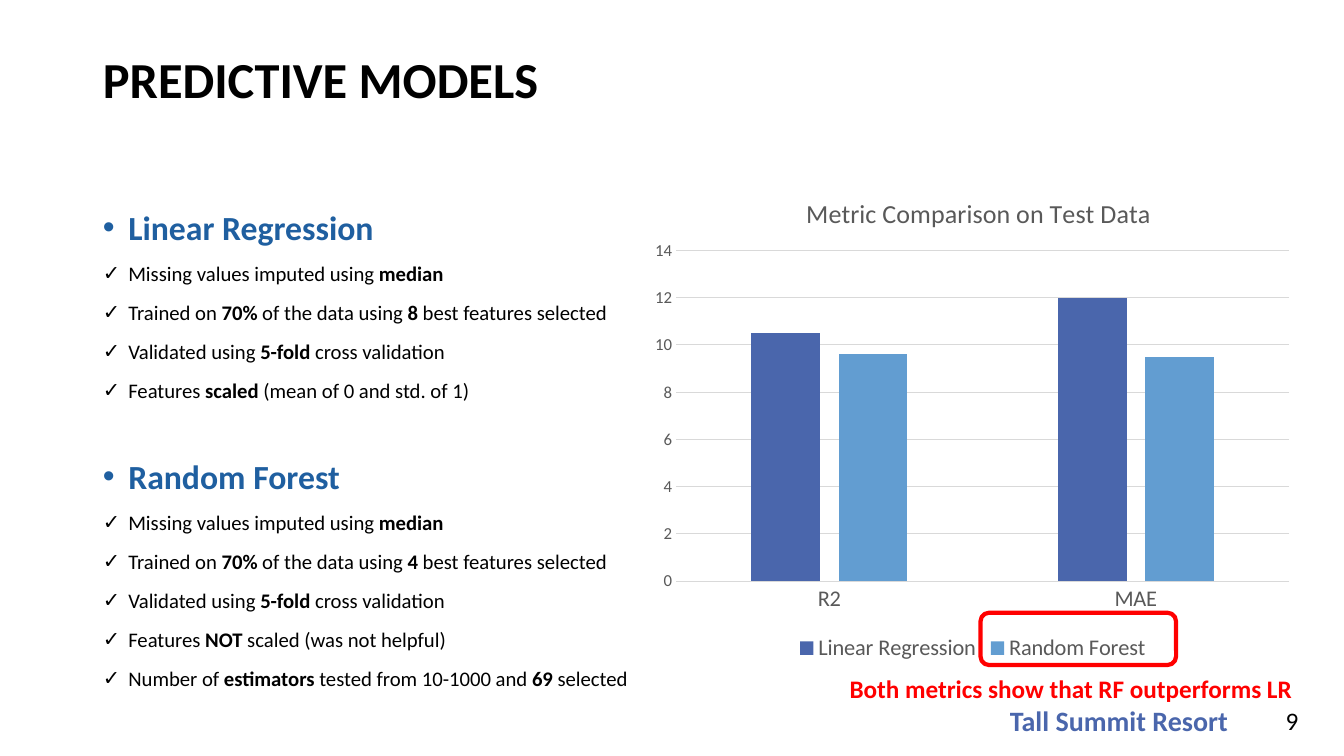
import pptx
import pptx.chart.data
import pptx.dml.color
import pptx.enum.chart
import pptx.enum.shapes
import pptx.enum.text
import pptx.oxml
import pptx.oxml.ns
import pptx.util

Cm, Pt = pptx.util.Cm, pptx.util.Pt
qn = pptx.oxml.ns.qn
FONT = "Calibri"
BLACK, GREY, PALE, RED = "000000", "595959", "D9D9D9", "FF0000"
HEADING_BLUE, INDIGO, SKY = "1F5FA0", "4A66AC", "629DD1"


def color(hex_value):
    return pptx.dml.color.RGBColor.from_string(hex_value)


def style(font, size, hex_value, bold=None):
    font.name, font.size, font.bold = FONT, Pt(size), bold
    font.color.rgb = color(hex_value)


deck = pptx.Presentation()
deck.slide_width, deck.slide_height = Cm(33.87), Cm(19.05)
slide = deck.slides.add_slide(deck.slide_layouts[1])

# Title
title = slide.shapes.title
title.left, title.top, title.width, title.height = Cm(2.34), Cm(1.19), Cm(29.21), Cm(1.78)
title.text_frame.text = "PREDICTIVE MODELS"
title.text_frame.vertical_anchor = pptx.enum.text.MSO_ANCHOR.MIDDLE
heading = title.text_frame.paragraphs[0]
heading.alignment = pptx.enum.text.PP_ALIGN.LEFT
heading.line_spacing = 0.9
style(heading.font, 36, BLACK, True)

# Model descriptions: text between asterisks is bold
models = {
    "Linear Regression": [
        "Missing values imputed using *median*",
        "Trained on *70%* of the data using *8* best features selected",
        "Validated using *5-fold* cross validation",
        "Features *scaled* (mean of 0 and std. of 1)",
    ],
    "Random Forest": [
        "Missing values imputed using *median*",
        "Trained on *70%* of the data using *4* best features selected",
        "Validated using *5-fold* cross validation",
        "Features *NOT* scaled (was not helpful)",
        "Number of *estimators* tested from 10-1000 and *69* selected",
    ],
}
lines = []
for model, facts in models.items():
    lines.append((f"*{model}*", "•", 24.1, HEADING_BLUE, 38 if lines else 10))
    lines += [(fact, "✓", 14.8, BLACK, 10) for fact in facts]

body = slide.placeholders[1]
body.left, body.top, body.width, body.height = Cm(2.34), Cm(5.08), Cm(13.84), Cm(12.57)
body.text_frame.auto_size = pptx.enum.text.MSO_AUTO_SIZE.NONE
for index, (text, bullet, size, hex_value, gap) in enumerate(lines):
    line = body.text_frame.paragraphs[0] if index == 0 else body.text_frame.add_paragraph()
    properties = line._p.get_or_add_pPr()
    properties.set("marL", str(Cm(0.64)))
    properties.set("indent", str(-Cm(0.64)))
    properties.append(pptx.oxml.parse_xml(
        f'<a:buChar {pptx.oxml.ns.nsdecls("a")} char="{bullet}"/>'))
    line.space_before, line.line_spacing = Pt(gap), 1.0
    style(line.font, size, hex_value)
    for position, part in enumerate(text.split("*")):
        if part:
            run = line.add_run()
            run.text, run.font.bold = part, position % 2 == 1

# Metric chart
metrics = pptx.chart.data.CategoryChartData()
metrics.categories = ["R2", "MAE"]
metrics.add_series("Linear Regression", [10.5, 12])
metrics.add_series("Random Forest", [9.6, 9.5])
chart = slide.shapes.add_chart(
    pptx.enum.chart.XL_CHART_TYPE.COLUMN_CLUSTERED,
    Cm(16.21), Cm(4.17), Cm(16.61), Cm(12.62), metrics).chart
style(chart.font, 10, BLACK)
chart.has_title = True
chart.chart_title.text_frame.text = "Metric Comparison on Test Data"
style(chart.chart_title.text_frame.paragraphs[0].font, 18.6, GREY, False)

chart.has_legend = True
chart.legend.position = pptx.enum.chart.XL_LEGEND_POSITION.BOTTOM
chart.legend.include_in_layout = False
style(chart.legend.font, 16, GREY)

bars = chart.plots[0]
bars.vary_by_categories = False
bars.gap_width, bars.overlap = 219, -27
for series, hex_value in zip(bars.series, (INDIGO, SKY)):
    series.format.fill.solid()
    series.format.fill.fore_color.rgb = color(hex_value)

for axis, size in ((chart.category_axis, 16), (chart.value_axis, 12)):
    axis.major_tick_mark = axis.minor_tick_mark = pptx.enum.chart.XL_TICK_MARK.NONE
    style(axis.tick_labels.font, size, GREY)
chart.value_axis.minimum_scale, chart.value_axis.maximum_scale = 0, 14
chart.value_axis.major_unit = 2
chart.value_axis.format.line.fill.background()
for rule in (chart.category_axis.format.line, chart.value_axis.major_gridlines.format.line):
    rule.color.rgb, rule.width = color(PALE), Pt(0.75)

# Fixed places for the chart title and the plot, as fractions of the chart
places = [
    (chart.chart_title.element, {"x": 0.24, "y": 0.05}),
    (chart.element.find(".//" + qn("c:plotArea")),
     {"x": 0.05, "y": 0.17, "w": 0.93, "h": 0.66}),
]
for part, place in places:
    layout = part.find(qn("c:layout"))
    if layout is None:
        layout = pptx.oxml.parse_xml(f'<c:layout {pptx.oxml.ns.nsdecls("c")}/>')
        part.insert(0, layout)
    target = '<c:layoutTarget val="inner"/>' if "w" in place else ""
    modes = "".join(f'<c:{side}Mode val="edge"/>' for side in "xy")
    values = "".join(f'<c:{side} val="{value}"/>' for side, value in place.items())
    layout.append(pptx.oxml.parse_xml(
        f'<c:manualLayout {pptx.oxml.ns.nsdecls("c")}>{target}{modes}{values}</c:manualLayout>'))

# Frame around the better model in the legend
highlight = slide.shapes.add_shape(
    pptx.enum.shapes.MSO_SHAPE.ROUNDED_RECTANGLE, Cm(24.71), Cm(15.44), Cm(4.93), Cm(1.32))
highlight.shadow.inherit = False
highlight.fill.background()
highlight.line.color.rgb, highlight.line.width = color(RED), Pt(3)

# Conclusion, footer and page number
LEFT, RIGHT = pptx.enum.text.PP_ALIGN.LEFT, pptx.enum.text.PP_ALIGN.RIGHT
captions = [
    ("Both metrics show that RF outperforms LR",
     (21.16, 16.84, 11.81, 1.02), 18, RED, True, LEFT, 0.25, 0.13),
    ("Tall Summit Resort", (25.4, 17.68, 6.32, 0.97), 20, INDIGO, True, LEFT, 0.05, 0.05),
    ("9", (31.55, 17.65, 1.42, 1.02), 18, BLACK, False, RIGHT, 0.25, 0.13),
]
for text, box, size, hex_value, bold, alignment, side, edge in captions:
    frame = slide.shapes.add_textbox(*map(Cm, box)).text_frame
    frame.word_wrap = True
    frame.margin_left = frame.margin_right = Cm(side)
    frame.margin_top = frame.margin_bottom = Cm(edge)
    frame.text = text
    frame.paragraphs[0].alignment = alignment
    style(frame.paragraphs[0].font, size, hex_value, bold)

deck.save("out.pptx")
